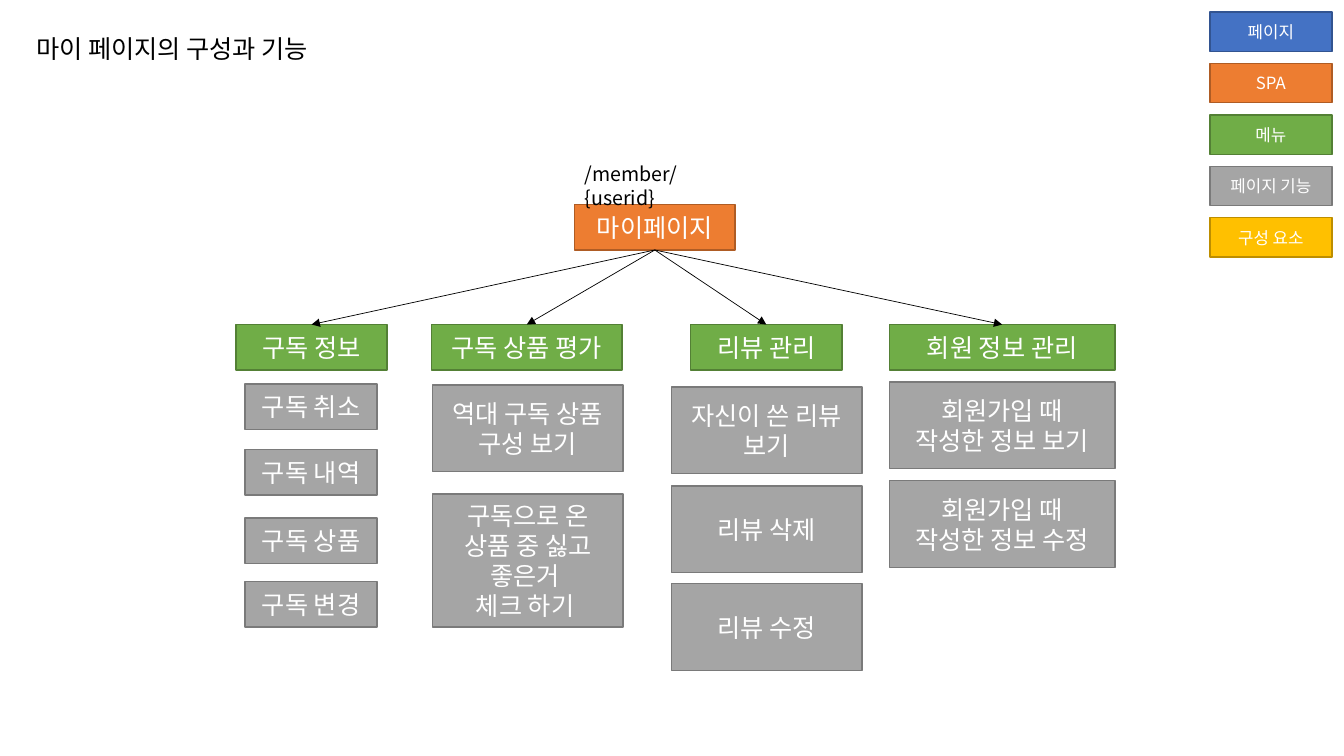
from dataclasses import dataclass

from lxml.etree import SubElement
from pptx import Presentation
from pptx.dml.color import RGBColor
from pptx.enum.shapes import MSO_CONNECTOR, MSO_SHAPE
from pptx.enum.text import MSO_ANCHOR, PP_ALIGN
from pptx.oxml.ns import qn
from pptx.shapes.autoshape import Shape
from pptx.slide import Slide
from pptx.text.text import TextFrame
from pptx.util import Inches, Pt

FONT = "Noto Sans CJK KR"
FILLS = {"page": "4472C4", "spa": "ED7D31", "menu": "70AD47", "task": "A5A5A5", "part": "FFC000"}
EDGES = {"page": "325491", "spa": "AF5C24", "menu": "538035", "task": "7A7A7A", "part": "BD8E00"}
INKS = {"light": "FFFFFF", "dark": "000000"}


@dataclass
class Box:
    text: str
    kind: str
    left: float
    top: float
    width: float
    height: float = 0.45
    size: int = 18


@dataclass
class Task:
    text: str
    top: float
    height: float = 0.86


@dataclass
class Menu:
    text: str
    left: float
    width: float
    inner: float
    span: float
    tasks: list[Task]


@dataclass
class Label:
    text: str
    left: float
    top: float
    width: float
    height: float
    size: int
    wrap: bool


LEGEND = {"page": "페이지", "spa": "SPA", "menu": "메뉴", "task": "페이지 기능", "part": "구성 요소"}
ROOT = Box("마이페이지", "spa", 5.7, 2.03, 1.59)
MENUS = [
    Menu("구독 정보", 2.34, 1.5, 2.43, 1.31, [
        Task("구독 취소", 3.81, 0.45), Task("구독 내역", 4.46, 0.45),
        Task("구독 상품", 5.14, 0.45), Task("구독 변경", 5.77, 0.45)]),
    Menu("구독 상품 평가", 4.28, 1.89, 4.29, 1.89, [
        Task("역대 구독 상품 구성 보기", 3.82),
        Task("구독으로 온\n상품 중 싫고 좋은거 \n체크 하기 ", 4.9, 1.32)]),
    Menu("리뷰 관리", 6.85, 1.5, 6.66, 1.89, [
        Task("자신이 쓴 리뷰\n보기", 3.84), Task("리뷰 삭제", 4.82), Task("리뷰 수정", 5.79)]),
    Menu("회원 정보 관리", 8.82, 2.24, 8.82, 2.24, [
        Task("회원가입 때\n작성한 정보 보기", 3.79),
        Task("회원가입 때\n작성한 정보 수정", 4.77)]),
]
LABELS = [
    Label("마이 페이지의 구성과 기능", 0.26, 0.28, 3.25, 0.4, 18, False),
    Label("/member/{userid}", 5.7, 1.56, 1.76, 0.34, 14, True),
]


def style(frame: TextFrame, size: int, ink: str, align: PP_ALIGN) -> None:
    for para in frame.paragraphs:
        para.alignment = align
        for run in para.runs:
            run.font.name = FONT
            run.font.size = Pt(size)
            run.font.color.rgb = RGBColor.from_string(INKS[ink])
            SubElement(run.font._element, qn("a:ea")).set("typeface", FONT)


def draw_box(slide: Slide, box: Box) -> Shape:
    shape = slide.shapes.add_shape(
        MSO_SHAPE.RECTANGLE, Inches(box.left), Inches(box.top),
        Inches(box.width), Inches(box.height))
    shape.shadow.inherit = False
    shape.fill.solid()
    shape.fill.fore_color.rgb = RGBColor.from_string(FILLS[box.kind])
    shape.line.color.rgb = RGBColor.from_string(EDGES[box.kind])
    shape.line.width = Pt(1)
    frame = shape.text_frame
    frame.text = box.text
    frame.word_wrap = True
    frame.vertical_anchor = MSO_ANCHOR.MIDDLE
    style(frame, box.size, "light", PP_ALIGN.CENTER)
    return shape


def draw_label(slide: Slide, label: Label) -> None:
    shape = slide.shapes.add_textbox(
        Inches(label.left), Inches(label.top), Inches(label.width), Inches(label.height))
    frame = shape.text_frame
    frame.text = label.text
    frame.word_wrap = label.wrap
    style(frame, label.size, "dark", PP_ALIGN.LEFT)


def link(slide: Slide, start: Shape, end: Shape) -> None:
    arrow = slide.shapes.add_connector(MSO_CONNECTOR.STRAIGHT, 0, 0, 0, 0)
    arrow.begin_connect(start, 2)
    arrow.end_connect(end, 0)
    arrow.line.width = Pt(0.5)
    arrow.line.color.rgb = RGBColor.from_string(INKS["dark"])
    SubElement(arrow.line._get_or_add_ln(), qn("a:tailEnd")).set("type", "triangle")
    SubElement(arrow._element.spPr, qn("a:effectLst"))


def main() -> None:
    """Build the slide that maps the member page, its menus and their tasks."""
    deck = Presentation()
    deck.slide_width, deck.slide_height = Inches(13.33), Inches(7.5)
    slide = deck.slides.add_slide(deck.slide_layouts[6])
    for row, (kind, text) in enumerate(LEGEND.items()):
        draw_box(slide, Box(text, kind, 12, 0.12 + 0.51 * row, 1.21, 0.39, 12))
    root = draw_box(slide, ROOT)
    for menu in MENUS:
        head = draw_box(slide, Box(menu.text, "menu", menu.left, 3.22, menu.width))
        link(slide, root, head)
        for task in menu.tasks:
            draw_box(slide, Box(task.text, "task", menu.inner, task.top, menu.span, task.height))
    for label in LABELS:
        draw_label(slide, label)
    deck.save("out.pptx")


if __name__ == "__main__":
    main()
